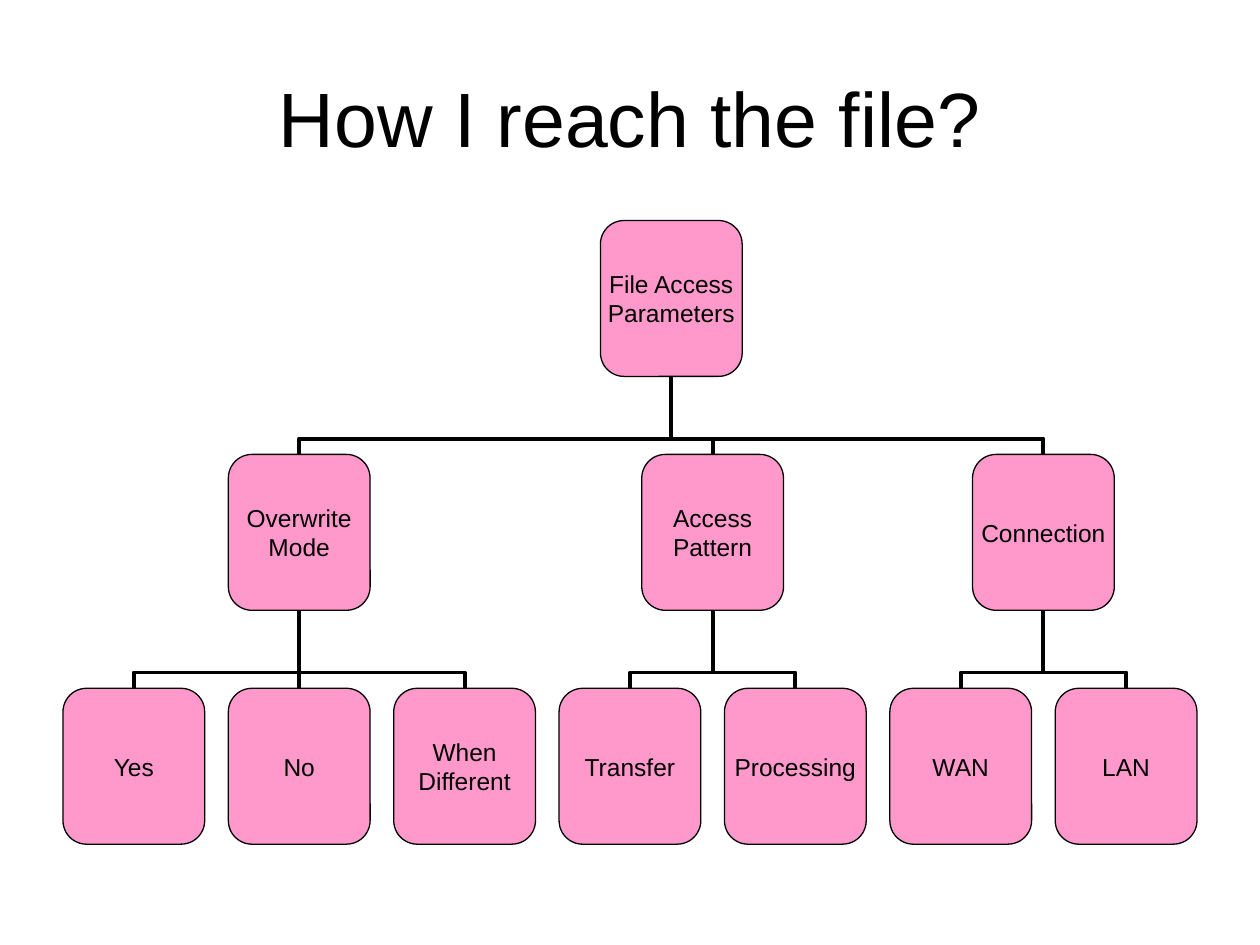
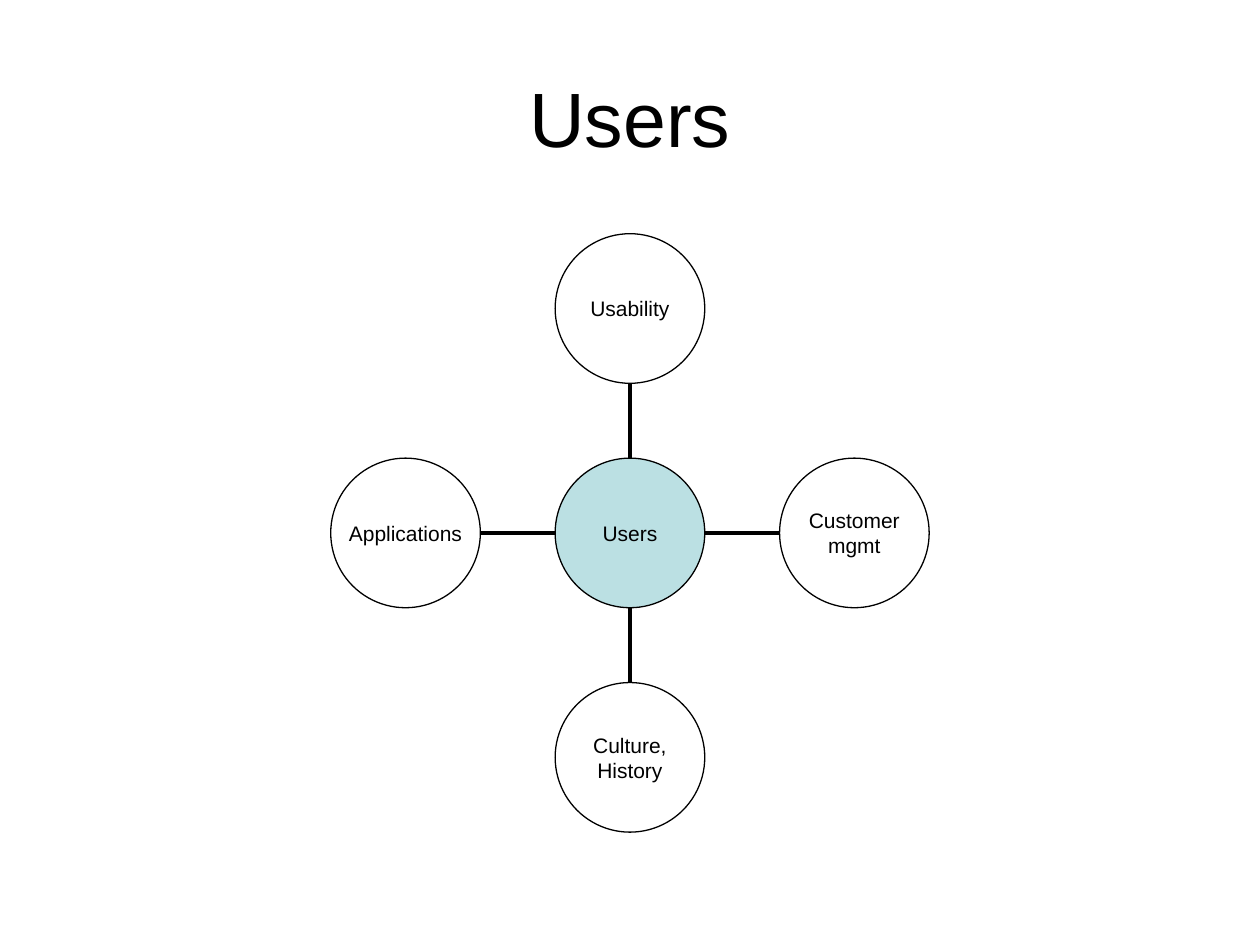
"""Builds a two-slide deck with a parameter tree and a hub of user topics."""
from itertools import count

from lxml import etree
from pptx import Presentation
from pptx.dml.color import RGBColor
from pptx.enum.shapes import MSO_CONNECTOR, MSO_SHAPE
from pptx.enum.text import MSO_ANCHOR, MSO_AUTO_SIZE, PP_ALIGN
from pptx.oxml.ns import qn
from pptx.util import Inches, Pt

ROUNDED, ELLIPSE = MSO_SHAPE.ROUNDED_RECTANGLE, MSO_SHAPE.OVAL
STRAIGHT, ELBOW = MSO_CONNECTOR.STRAIGHT, MSO_CONNECTOR.ELBOW
MIDDLE, CENTER, NO_FIT = MSO_ANCHOR.MIDDLE, PP_ALIGN.CENTER, MSO_AUTO_SIZE.NONE

FONT = "Arial"
BLACK, WHITE, PINK, TEAL = "000000", "FFFFFF", "FF99CC", "BBE0E3"
TITLE_ONLY = 5
TOP, BOTTOM = 0, 2

TREE_LEFT, TREE_TOP, TREE_WIDTH, TREE_HEIGHT = 0.5, 1.75, 9, 4.95
LEAVES, LEVELS = 7, 3
NODE_WIDTH = TREE_WIDTH / (LEAVES + 1)
NODE_HEIGHT = TREE_HEIGHT / (LEVELS + 1)
COLUMN_STEP = (TREE_WIDTH - NODE_WIDTH) / (LEAVES - 1)
ROW_STEP = NODE_HEIGHT * 1.5
BEND = 20200

HUB_X, HUB_Y = 5, 4.23
DIAMETER = 4.75 / 4

ACCESS_TREE = ("File Access\nParameters", [
    ("Overwrite\nMode", [("Yes", []), ("No", []), ("When\nDifferent", [])]),
    ("Access\nPattern", [("Transfer", []), ("Processing", [])]),
    ("Connection", [("WAN", []), ("LAN", [])]),
])
USER_TOPICS = [
    ("Applications", -1, 0),
    ("Culture,\nHistory", 0, 1),
    ("Customer\nmgmt", 1, 0),
    ("Usability", 0, -1),
]


def color(value):
    """Turn a hex string into a colour."""
    return RGBColor.from_string(value)


def write(frame, text, size, **settings):
    """Fill a text frame with centred black paragraphs."""
    settings = {"vertical_anchor": MIDDLE, "auto_size": NO_FIT, **settings}
    for name, value in settings.items():
        setattr(frame, name, value)
    frame.text = text
    for para in frame.paragraphs:
        para.alignment = CENTER
        para.font.name = FONT
        para.font.size = Pt(size)
        para.font.color.rgb = color(BLACK)


def add_page(deck, title):
    """Add a slide with the shared title style."""
    page = deck.slides.add_slide(deck.slide_layouts[TITLE_ONLY])
    heading = page.shapes.title
    place = {"left": 0.5, "top": 0.3, "width": 9, "height": 1.25}
    for name, value in place.items():
        setattr(heading, name, Inches(value))
    write(heading.text_frame, title, 44, word_wrap=True)
    return page


def add_node(page, kind, center, size, text, fill, points):
    """Add a thinly outlined shape around a centre point."""
    (x, y), (width, height) = center, size
    box = page.shapes.add_shape(kind, Inches(x - width / 2), Inches(y - height / 2),
                                Inches(width), Inches(height))
    box.shadow.inherit = False
    box.fill.solid()
    box.fill.fore_color.rgb = color(fill)
    box.line.color.rgb = color(BLACK)
    box.line.width = Pt(0.75)
    write(box.text_frame, text, points, word_wrap=False, margin_left=0,
          margin_right=0, margin_top=0, margin_bottom=0)
    return box


def add_link(page, kind, start, end):
    """Add a thick black connector behind the nodes."""
    link = page.shapes.add_connector(kind, *map(Inches, (*start, *end)))
    link.line.color.rgb = color(BLACK)
    link.line.width = Pt(2.25)
    properties = link.element.spPr
    etree.SubElement(properties, qn("a:effectLst"))
    behind_nodes = page.shapes.title.element.getparent().index(page.shapes.title.element) + 1
    page.shapes.element.insert(behind_nodes, link.element)
    return link


def turn_upright(link, start, end):
    """Rotate an elbow so that it leaves and arrives vertically."""
    (x1, y1), (x2, y2) = start, end
    width, height = abs(y2 - y1), abs(x2 - x1)
    place = {"left": (x1 + x2 - width) / 2, "top": (y1 + y2 - height) / 2,
             "width": width, "height": height}
    for name, value in place.items():
        setattr(link, name, Inches(value))
    frame = link.element.spPr.find(qn("a:xfrm"))
    from_right = x1 > x2
    turn = {"rot": "16200000" if from_right else "5400000",
            "flipH": "0" if from_right else "1", "flipV": "1"}
    for name, value in turn.items():
        frame.set(name, value)
    geometry = link.element.spPr.find(qn("a:prstGeom"))
    adjustments = geometry.find(qn("a:avLst"))
    if adjustments is None:
        adjustments = etree.SubElement(geometry, qn("a:avLst"))
    etree.SubElement(adjustments, qn("a:gd"), name="adj1", fmla=f"val {BEND}")


def join_to_parent(page, child, child_center, parent, parent_center):
    """Link the top of a child to the bottom of its parent."""
    start = child_center[0], child_center[1] - NODE_HEIGHT / 2
    end = parent_center[0], parent_center[1] + NODE_HEIGHT / 2
    is_below = abs(start[0] - end[0]) < 0.01
    link = add_link(page, STRAIGHT if is_below else ELBOW, start, end)
    link.begin_connect(child, TOP)
    link.end_connect(parent, BOTTOM)
    if not is_below:
        turn_upright(link, start, end)


def add_branch(page, branch, columns, level=0):
    """Add a node centred over its children and return it with its centre."""
    text, children = branch
    nodes = [add_branch(page, child, columns, level + 1) for child in children]
    if nodes:
        x = (nodes[0][1][0] + nodes[-1][1][0]) / 2
    else:
        x = TREE_LEFT + NODE_WIDTH / 2 + next(columns) * COLUMN_STEP
    center = x, TREE_TOP + NODE_HEIGHT / 2 + level * ROW_STEP
    box = add_node(page, ROUNDED, center, (NODE_WIDTH, NODE_HEIGHT), text, PINK, 14)
    for child, child_center in nodes:
        join_to_parent(page, child, child_center, box, center)
    return box, center


def add_circle(page, center, text, fill):
    """Add one circle of the hub diagram."""
    add_node(page, ELLIPSE, center, (DIAMETER, DIAMETER), text, fill, 12)


def add_hub(page, hub_text, topics):
    """Add a central circle with a topic on each side."""
    def point(dx, dy, diameters):
        """Find the point at a distance from the hub."""
        return HUB_X + dx * diameters * DIAMETER, HUB_Y + dy * diameters * DIAMETER

    for text, dx, dy in topics:
        add_link(page, STRAIGHT, point(dx, dy, 0.5), point(dx, dy, 1))
        add_circle(page, point(dx, dy, 1.5), text, WHITE)
    add_circle(page, (HUB_X, HUB_Y), hub_text, TEAL)


def main():
    """Build and save the deck."""
    deck = Presentation()
    deck.slide_width, deck.slide_height = Inches(10), Inches(7.5)
    add_branch(add_page(deck, "How I reach the file?"), ACCESS_TREE, count())
    add_hub(add_page(deck, "Users"), "Users", USER_TOPICS)
    deck.save("out.pptx")


if __name__ == "__main__":
    main()
